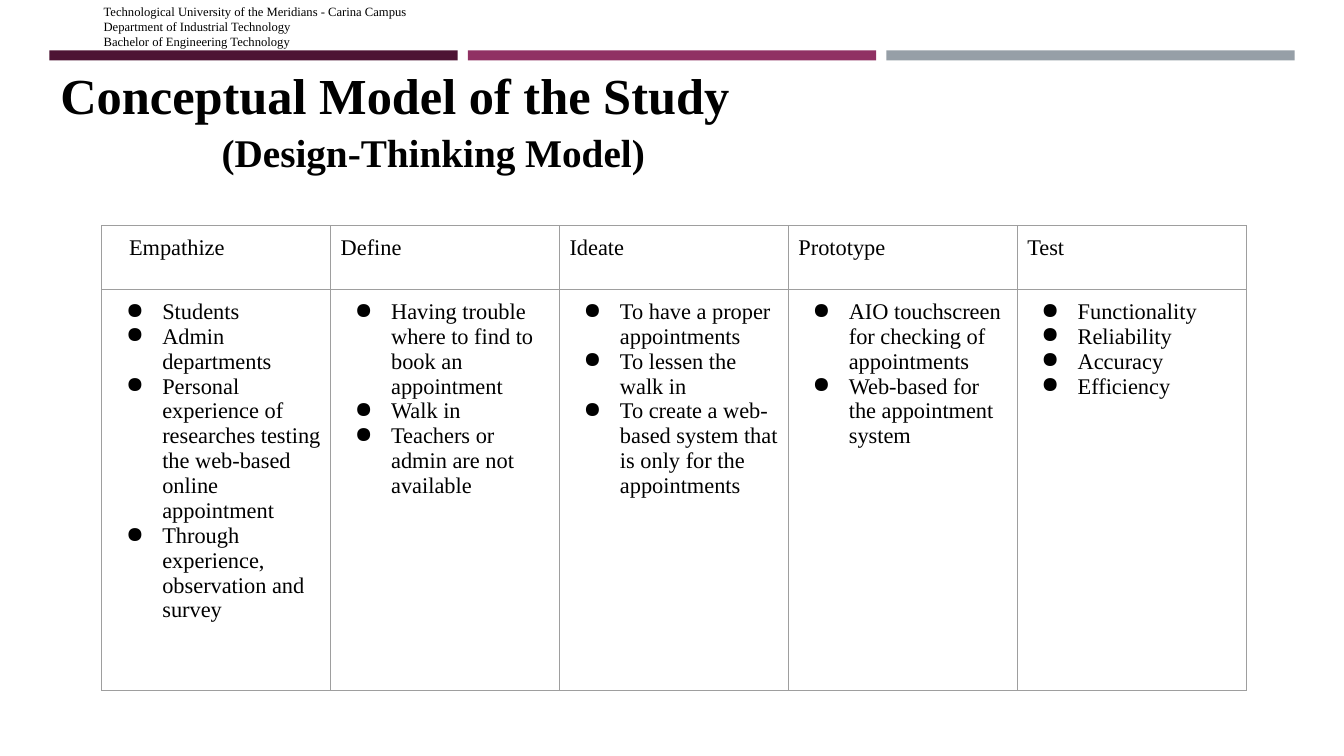
from dataclasses import dataclass

from lxml import etree
from pptx import Presentation
from pptx.dml.color import RGBColor
from pptx.enum.shapes import MSO_SHAPE
from pptx.oxml.ns import qn
from pptx.util import Pt

RECT = MSO_SHAPE.RECTANGLE
PX = 9144


@dataclass(frozen=True)
class Theme:
    font: str = "Times New Roman"
    text: str = "000000"
    border: str = "9E9E9E"
    bars: tuple = ("4D1434", "903163", "969FA7")
    title: int = 36
    subtitle: int = 28
    body: int = 16
    header: int = 9
    border_width: float = 0.75


THEME = Theme()

HEADER = [
    "Technological University of the Meridians - Carina Campus",
    "Department of Industrial Technology",
    "Bachelor of Engineering Technology",
]

STAGES = {
    "Empathize": [
        "Students",
        "Admin departments",
        "Personal experience of researches testing the web-based online appointment",
        "Through experience, observation and survey",
    ],
    "Define": [
        "Having trouble where to find to book an appointment",
        "Walk in",
        "Teachers or admin are not available",
    ],
    "Ideate": [
        "To have a proper appointments",
        "To lessen the walk in",
        "To create a web-based system that is only for the appointments",
    ],
    "Prototype": [
        "AIO touchscreen for checking of appointments",
        "Web-based for the appointment system",
    ],
    "Test": ["Functionality", "Reliability", "Accuracy", "Efficiency"],
}


def px(*lengths):
    return [n * PX for n in lengths]


def write(tf, lines, size, bold=False, indent=0):
    tf.text = "\n".join(lines)
    for p in tf.paragraphs:
        p._p.get_or_add_pPr().set("marL", str(indent * PX))
        for r in p.runs:
            r.font.name = THEME.font
            r.font.size = Pt(size)
            r.font.bold = bold
            r.font.color.rgb = RGBColor.from_string(THEME.text)


def add_text(s, box, lines, size, **style):
    tf = s.shapes.add_textbox(*px(*box)).text_frame
    tf.word_wrap = True
    write(tf, lines, size, **style)


def add_bar(s, box, color):
    sp = s.shapes.add_shape(RECT, *px(*box))
    sp.shadow.inherit = False
    sp.fill.solid()
    sp.fill.fore_color.rgb = RGBColor.from_string(color)
    sp.line.fill.background()


def add_bullets(tf):
    for p in tf.paragraphs:
        pPr = p._p.get_or_add_pPr()
        pPr.set("indent", str(-36 * PX))
        color = etree.SubElement(pPr, qn("a:buClr"))
        etree.SubElement(color, qn("a:srgbClr"), val=THEME.text)
        etree.SubElement(pPr, qn("a:buChar"), char="●")


def format_cell(cell):
    cell.margin_left = cell.margin_right = 10 * PX
    cell.margin_top = cell.margin_bottom = 10 * PX
    tcPr = cell._tc.get_or_add_tcPr()
    for side in ("lnL", "lnR", "lnT", "lnB"):
        ln = etree.SubElement(tcPr, qn(f"a:{side}"), w=str(Pt(THEME.border_width)))
        fill = etree.SubElement(ln, qn("a:solidFill"))
        etree.SubElement(fill, qn("a:srgbClr"), val=THEME.border)
    cell.fill.background()


def add_stage_table(s, box, row_heights, stages):
    table = s.shapes.add_table(2, len(stages), *px(*box)).table
    table.first_row = table.horz_banding = False
    for row, height in zip(table.rows, row_heights):
        row.height = height * PX
    for col, (stage, points) in enumerate(stages.items()):
        head, body = table.cell(0, col), table.cell(1, col)
        for cell in (head, body):
            format_cell(cell)
        write(head.text_frame, [stage], THEME.body, indent=0 if col else 17)
        write(body.text_frame, points, THEME.body, indent=50)
        add_bullets(body.text_frame)


def main():
    prs = Presentation()
    prs.slide_width, prs.slide_height = px(1333, 750)
    s = prs.slides.add_slide(prs.slide_layouts[6])
    for i, color in enumerate(THEME.bars):
        add_bar(s, (49 + 415 * i, 50, 405, 10), color)
    add_text(s, (0, 59, 1333, 71), ["Conceptual Model of the Study"],
             THEME.title, bold=True, indent=50)
    add_text(s, (0, 122, 1333, 57), ["(Design-Thinking Model)"],
             THEME.subtitle, bold=True, indent=210)
    add_text(s, (93, -1, 327, 56), HEADER, THEME.header)
    add_stage_table(s, (101, 224, 1135, 461), (63, 398), STAGES)
    prs.save("out.pptx")


if __name__ == "__main__":
    main()
